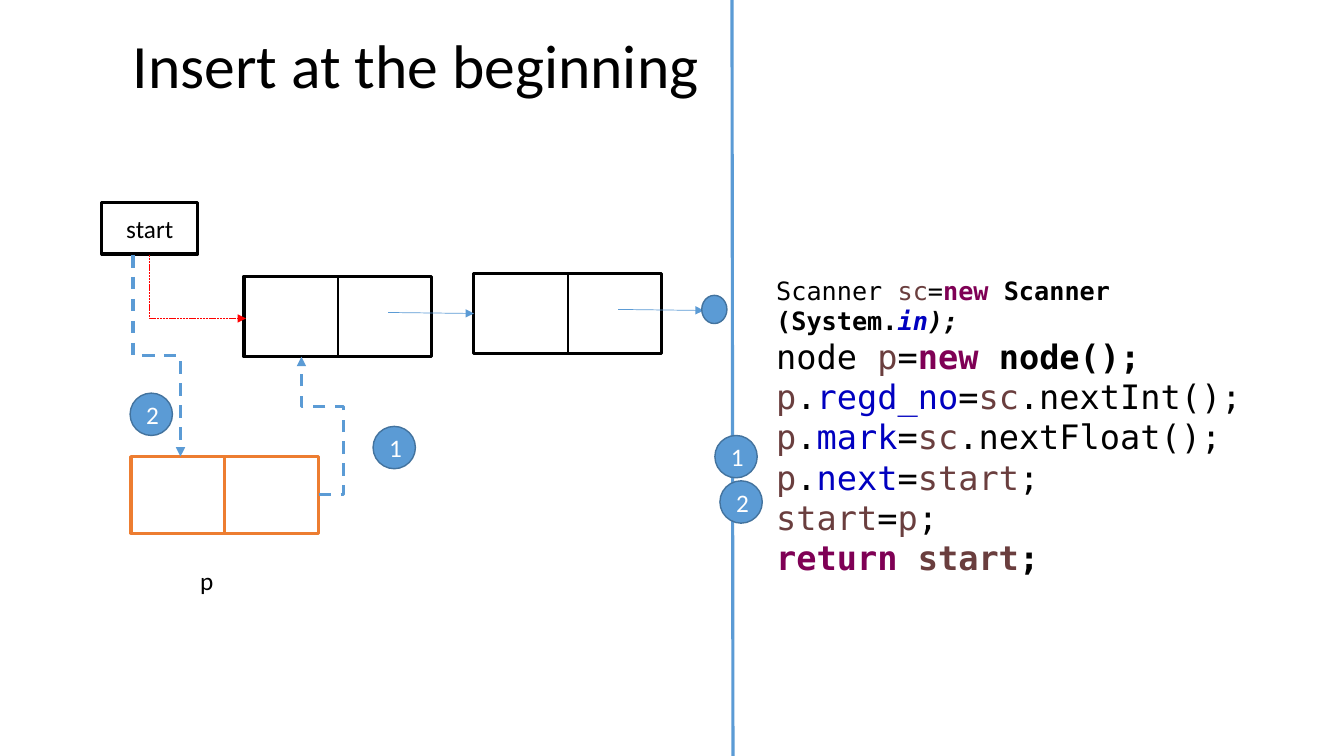
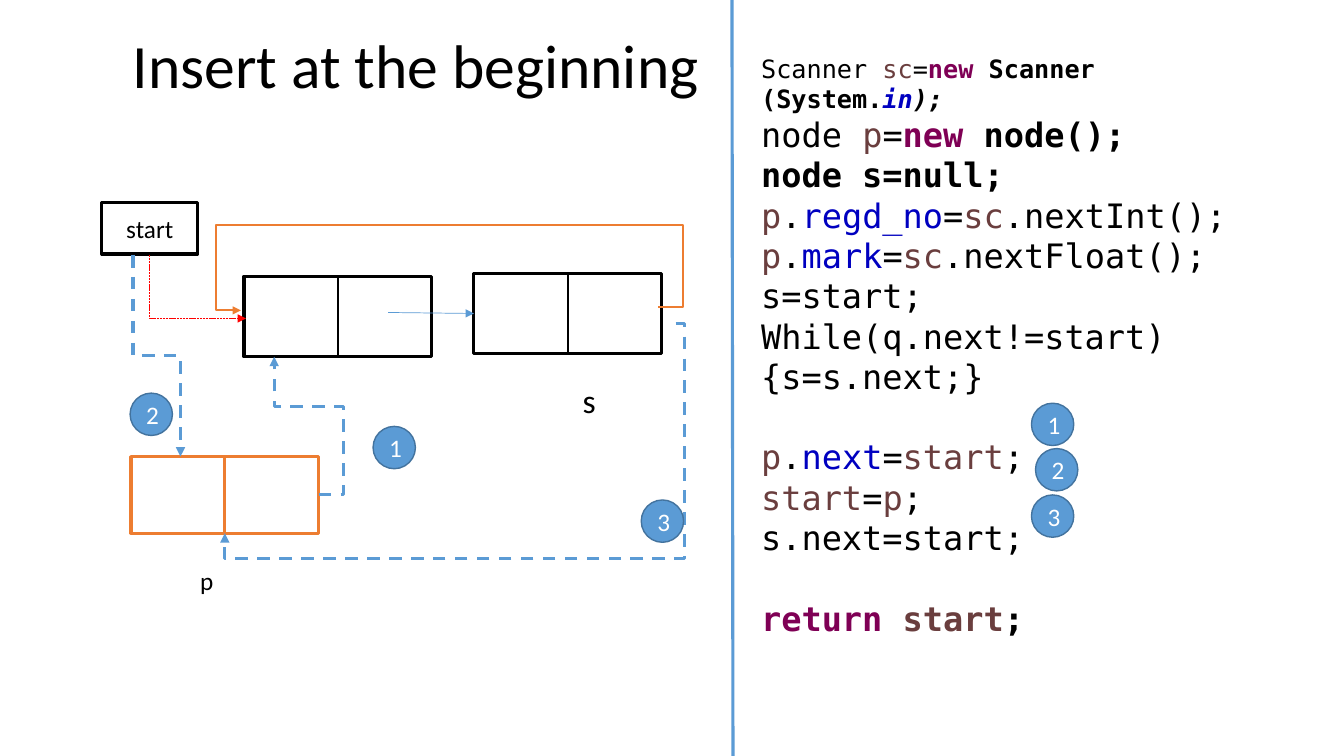
"""Build two slides on inserting a node at the beginning of a linked list."""
from dataclasses import dataclass
from typing import NamedTuple, Optional, Sequence

from lxml import etree
from pptx import Presentation
from pptx.dml.color import RGBColor
from pptx.enum.dml import MSO_LINE
from pptx.enum.shapes import MSO_CONNECTOR, MSO_SHAPE
from pptx.enum.text import MSO_ANCHOR, MSO_AUTO_SIZE, PP_ALIGN
from pptx.oxml.ns import qn
from pptx.shapes.autoshape import Shape
from pptx.slide import Slide
from pptx.util import Inches, Pt

RECTANGLE, OVAL = MSO_SHAPE.RECTANGLE, MSO_SHAPE.OVAL
STRAIGHT, ELBOW = MSO_CONNECTOR.STRAIGHT, MSO_CONNECTOR.ELBOW
DASH, FINE_DASH = MSO_LINE.DASH, MSO_LINE.SQUARE_DOT
LEFT, CENTER = PP_ALIGN.LEFT, PP_ALIGN.CENTER
TOP, MIDDLE = MSO_ANCHOR.TOP, MSO_ANCHOR.MIDDLE
GROW = MSO_AUTO_SIZE.SHAPE_TO_FIT_TEXT

BLACK = RGBColor(0x00, 0x00, 0x00)
WHITE = RGBColor(0xFF, 0xFF, 0xFF)
BLUE = RGBColor(0x5B, 0x9B, 0xD5)
BLUE_EDGE = RGBColor(0x43, 0x73, 0x9E)
ORANGE = RGBColor(0xED, 0x7D, 0x31)
RED = RGBColor(0xFF, 0x00, 0x00)
VARIABLE = RGBColor(0x6A, 0x3E, 0x3E)
KEYWORD = RGBColor(0x7F, 0x00, 0x55)
FIELD = RGBColor(0x00, 0x00, 0xC0)

BODY_FONT, CODE_FONT = "Calibri", "DejaVu Sans Mono"
BADGE_SIZE = 0.42
CODE_LINE = 28.8

Point = tuple[float, float]


class Box(NamedTuple):
    left: float
    top: float
    width: float
    height: float


class Run(NamedTuple):
    text: str
    color: RGBColor = BLACK
    bold: bool = False
    italic: bool = False


class Line(NamedTuple):
    runs: Sequence[Run]
    size: float = 24
    space_before: float = 0


class Badge(NamedTuple):
    step: str
    left: float
    top: float


@dataclass(frozen=True)
class Node:
    box: Box
    color: RGBColor = BLACK
    divider_width: float = 1.5


@dataclass(frozen=True)
class Link:
    start: Point
    end: Point
    color: RGBColor = BLUE
    width: float = 0.5
    dash: Optional[MSO_LINE] = None
    arrow: bool = True
    bends: Optional[tuple[float, ...]] = None
    quarter_turns: int = 0


@dataclass(frozen=True)
class InsertSlide:
    links: Sequence[Link]
    badges: Sequence[Badge]
    code_box: Box
    code: Sequence[Line]


def inches(box: Box) -> list[int]:
    return [Inches(length) for length in box]


def write(shape: Shape, lines: Sequence[Line], *, font: str = BODY_FONT,
          align: PP_ALIGN = LEFT, anchor: MSO_ANCHOR = TOP,
          spacing: Optional[float] = None, grow: bool = False) -> None:
    frame = shape.text_frame
    frame.word_wrap = True
    frame.vertical_anchor = anchor
    if grow:
        frame.auto_size = GROW
    for index, line in enumerate(lines):
        paragraph = frame.add_paragraph() if index else frame.paragraphs[0]
        paragraph.alignment = align
        paragraph.space_before = Pt(line.space_before)
        if spacing:
            paragraph.line_spacing = spacing
        for part in line.runs:
            run = paragraph.add_run()
            run.text = part.text
            run.font.name, run.font.size = font, Pt(line.size)
            run.font.bold, run.font.italic = part.bold, part.italic
            run.font.color.rgb = part.color


def add_text(slide: Slide, box: Box, lines: Sequence[Line], **text_format) -> None:
    write(slide.shapes.add_textbox(*inches(box)), lines, **text_format)


def add_block(slide: Slide, kind: MSO_SHAPE, box: Box, *, fill: RGBColor = WHITE,
              edge: Optional[RGBColor] = BLACK, edge_width: float = 2.25,
              label: str = "", ink: RGBColor = BLACK) -> None:
    block = slide.shapes.add_shape(kind, *inches(box))
    block.shadow.inherit = False
    block.fill.solid()
    block.fill.fore_color.rgb = fill
    if edge is None:
        block.line.fill.background()
    else:
        block.line.color.rgb = edge
        block.line.width = Pt(edge_width)
    if label:
        write(block, [Line([Run(label, ink)], 18)], align=CENTER, anchor=MIDDLE)


def turn_back(point: Point, center: Point, quarter_turns: int) -> Point:
    x, y = point[0] - center[0], point[1] - center[1]
    for _ in range(quarter_turns):
        x, y = y, -x
    return center[0] + x, center[1] + y


def add_link(slide: Slide, link: Link) -> None:
    center = ((link.start[0] + link.end[0]) / 2, (link.start[1] + link.end[1]) / 2)
    ends = [turn_back(point, center, link.quarter_turns)
            for point in (link.start, link.end)]
    connector = slide.shapes.add_connector(
        STRAIGHT if link.bends is None else ELBOW,
        *(Inches(length) for point in ends for length in point))
    connector.line.color.rgb = link.color
    connector.line.width = Pt(link.width)
    if link.dash:
        connector.line.dash_style = link.dash
    properties = connector._element.spPr
    if link.bends is not None:
        frame = properties.find(qn("a:xfrm"))
        frame.set("rot", str(link.quarter_turns * 90 * 60000))
        geometry = properties.find(qn("a:prstGeom"))
        geometry.set("prst", f"bentConnector{len(link.bends) + 2}")
        guides = geometry.find(qn("a:avLst"))
        for number, bend in enumerate(link.bends, 1):
            etree.SubElement(guides, qn("a:gd"), name=f"adj{number}",
                             fmla=f"val {round(bend * 100000)}")
    if link.arrow:
        etree.SubElement(properties.find(qn("a:ln")), qn("a:tailEnd"), type="triangle")
    etree.SubElement(properties, qn("a:effectLst"))


def add_node(slide: Slide, node: Node) -> None:
    left, top, width, height = node.box
    add_block(slide, RECTANGLE, node.box, edge=node.color)
    middle = left + width / 2
    add_link(slide, Link((middle, top), (middle, top + height), node.color,
                         node.divider_width, arrow=False))


def add_badge(slide: Slide, badge: Badge) -> None:
    add_block(slide, OVAL, Box(badge.left, badge.top, BADGE_SIZE, BADGE_SIZE),
              fill=BLUE, edge=BLUE_EDGE, edge_width=1, label=badge.step, ink=WHITE)


def new_node_link(target_x: float, first_bend: float) -> Link:
    return Link((3.16, 4.91), (target_x, 3.54), width=2.25, dash=DASH,
                bends=(first_bend, 0.64))


def variable(name: str, bold: bool = False) -> Run:
    return Run(name, VARIABLE, bold)


def assign_field(field: str, *value: Run) -> list[Run]:
    return [variable("p"), Run("."), Run(field, FIELD), Run("="), *value]


NODES = [
    Node(Box(2.42, 2.74, 1.86, 0.8)),
    Node(Box(4.7, 2.71, 1.86, 0.8)),
    Node(Box(1.3, 4.53, 1.86, 0.76), ORANGE, 2.25),
]
SHARED_LINKS = [
    Link((3.85, 3.1), (4.7, 3.11)),
    Link((1.48, 2.53), (2.44, 3.16), RED, dash=FINE_DASH, bends=(), quarter_turns=3),
    Link((7.26, 0), (7.27, 7.5), width=2.25, arrow=False),
    Link((1.32, 2.53), (1.79, 4.53), width=2.25, dash=DASH, bends=(0.5,),
         quarter_turns=3),
]
SHARED_BADGES = [Badge("1", 3.7, 4.23), Badge("2", 1.29, 3.9)]

CREATE = [
    Line([Run("Scanner "), variable("sc"), Run("="), Run("new", KEYWORD, True),
          Run(" Scanner (System.", bold=True), Run("in", FIELD, True, True),
          Run(");", BLACK, True, True)], 18),
    Line([Run("node "), variable("p"), Run("="), Run("new", KEYWORD, True),
          Run(" node();", bold=True)]),
]
READ = [
    Line(assign_field("regd_no", variable("sc"), Run(".nextInt();"))),
    Line(assign_field("mark", variable("sc"), Run(".nextFloat();"))),
]
LINK_NEXT = assign_field("next", variable("start"), Run(";"))
MOVE_START = Line([variable("start"), Run("="), variable("p"), Run(";")])
RETURN = [Run("return ", KEYWORD, True), variable("start", True), Run(";", bold=True)]
FIND_LAST = [Line([Run(text)])
             for text in ("s=start;", "While(q.next!=start)", "{s=s.next;}")]

LINEAR = InsertSlide(
    links=[Link((6.13, 3.07), (6.98, 3.08)), new_node_link(2.99, -1.46)],
    badges=[Badge("1", 7.09, 4.32), Badge("2", 7.14, 4.77)],
    code_box=Box(7.6, 2.68, 5.12, 2.83),
    code=[*CREATE, *READ, Line(LINK_NEXT), MOVE_START, Line(RETURN)],
)
CIRCULAR = InsertSlide(
    links=[
        new_node_link(2.72, -0.56),
        Link((6.53, 3.05), (2.39, 3.08), ORANGE, 1.5, bends=(-0.06, -27.33, 1.06)),
        Link((6.7, 3.21), (2.23, 5.29), width=2.25, dash=DASH, bends=(-0.02, 1.12),
             quarter_turns=2),
    ],
    badges=[Badge("1", 10.23, 4), Badge("2", 10.27, 4.45), Badge("3", 10.23, 4.91),
            Badge("3", 6.36, 4.96)],
    code_box=Box(7.45, 0.48, 5.12, 5.65),
    code=[*CREATE, Line([Run("node s=null;", bold=True)]), *READ, *FIND_LAST,
          Line(LINK_NEXT, space_before=CODE_LINE), MOVE_START,
          Line([Run("s.next=start;")]), Line(RETURN, space_before=CODE_LINE)],
)


def build_slide(deck: Presentation, content: InsertSlide) -> Slide:
    slide = deck.slides.add_slide(deck.slide_layouts[6])
    for node in NODES:
        add_node(slide, node)
    add_block(slide, RECTANGLE, Box(1.01, 2.01, 0.95, 0.51), label="start")
    add_block(slide, RECTANGLE, Box(1.72, 5.5, 0.66, 0.51), edge=None, label="p")
    for link in [*SHARED_LINKS, *content.links]:
        add_link(slide, link)
    add_text(slide, content.code_box, content.code, font=CODE_FONT, grow=True)
    for badge in [*SHARED_BADGES, *content.badges]:
        add_badge(slide, badge)
    add_text(slide, Box(1.22, 0.12, 11.5, 1.11),
             [Line([Run("Insert at the beginning")], 44)], anchor=MIDDLE, spacing=0.9)
    return slide


def main() -> None:
    deck = Presentation()
    deck.slide_width, deck.slide_height = Inches(13.33), Inches(7.5)
    linear = build_slide(deck, LINEAR)
    add_block(linear, OVAL, Box(6.96, 2.93, 0.25, 0.28), fill=BLUE, edge=BLUE_EDGE,
              edge_width=1)
    circular = build_slide(deck, CIRCULAR)
    add_text(circular, Box(5.68, 3.72, 0.34, 0.5), [Line([Run("s")])], grow=True)
    deck.save("out.pptx")


main()
